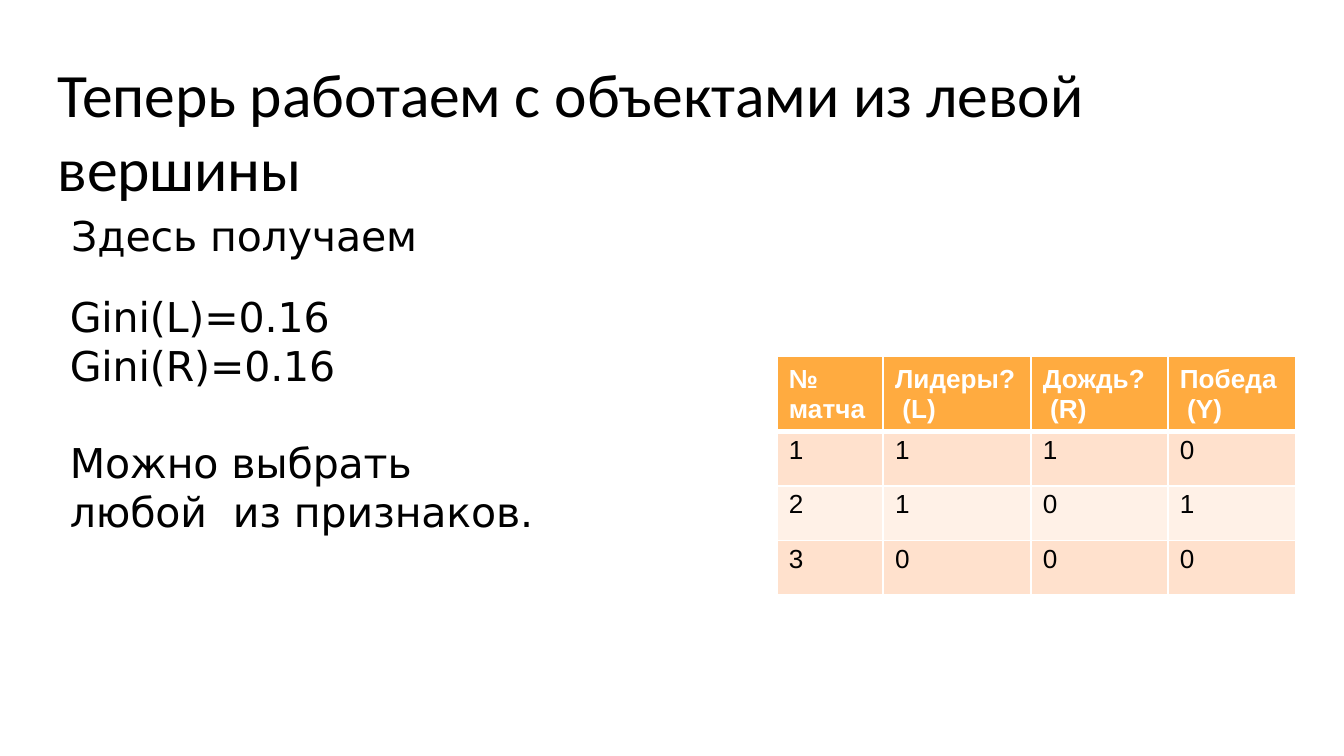
from dataclasses import dataclass
from typing import Optional

from lxml import etree
from pptx import Presentation
from pptx.dml.color import RGBColor
from pptx.enum.text import MSO_ANCHOR
from pptx.oxml.ns import qn
from pptx.util import Inches, Pt

TOP, MIDDLE = MSO_ANCHOR.TOP, MSO_ANCHOR.MIDDLE


@dataclass(frozen=True)
class Theme:
    ink: str = "000000"
    white: str = "FFFFFF"
    header: str = "FFAB40"
    bands: tuple[str, str] = ("FFE1CD", "FFF1E7")
    title_font: str = "Calibri"
    body_font: str = "DejaVu Sans"
    table_font: str = "Arial"
    title_size: float = 33
    body_size: float = 22
    table_size: float = 14
    tracking: float = -0.05
    thin: float = 1
    thick: float = 3


@dataclass(frozen=True)
class Style:
    font: str
    size: float
    color: str
    bold: bool = False
    tracking: float = 0


@dataclass(frozen=True)
class Para:
    lines: tuple[str, ...]
    style: Style
    before: float = 0
    leading: Optional[float] = None
    indent: float = 0


@dataclass(frozen=True)
class Box:
    left: float
    top: float
    width: float
    height: float
    inset_top: float
    anchor: MSO_ANCHOR
    paras: tuple[Para, ...]


THEME = Theme()
TITLE = Style(THEME.title_font, THEME.title_size, THEME.ink, tracking=THEME.tracking)
BODY = Style(THEME.body_font, THEME.body_size, THEME.ink, tracking=THEME.tracking)
HEAD = Style(THEME.table_font, THEME.table_size, THEME.white, bold=True)
CELL = Style(THEME.table_font, THEME.table_size, THEME.ink)

BOXES = (
    Box(0.42, 0.53, 7.94, 1.28, 0.01, MIDDLE, (
        Para(("Теперь работаем с объектами из левой вершины",), TITLE, before=1, indent=0.01),
        Para(("Здесь получаем",), BODY, before=3.5, indent=0.11),
    )),
    Box(0.51, 2.14, 3.63, 1.85, 0.03, TOP, (
        Para(("Gini(L)=0.16 Gini(R)=0.16",), BODY, before=1.9, leading=26.3, indent=0.01),
        Para(("Можно выбрать любой  из признаков.",), BODY, before=25.6, leading=26.2,
             indent=0.01),
    )),
)

HEADERS = (("№", "матча"), ("Лидеры?", " (L)"), ("Дождь?", " (R)"), ("Победа", " (Y)"))
MATCHES = ((1, 1, 1, 0), (2, 1, 0, 1), (3, 0, 0, 0))
COL_WIDTHS = (0.79, 1.1, 1.02, 0.95)
TABLE_LEFT, TABLE_TOP, TABLE_HEIGHT = 5.78, 2.65, 1.78
HEADER_HEIGHT = 0.56
ROW_HEIGHT = (TABLE_HEIGHT - HEADER_HEIGHT) / len(MATCHES)
CELL_INDENT = 0.09


def write_para(p, para: Para) -> None:
    p.space_before = Pt(para.before)
    if para.leading:
        p.line_spacing = Pt(para.leading)
    pPr = p._p.get_or_add_pPr()
    pPr.set("marL", str(Inches(para.indent)))
    pPr.set("indent", "0")
    style = para.style
    for i, line in enumerate(para.lines):
        if i:
            p.add_line_break()
        r = p.add_run()
        r.text = line
        r.font.name = style.font
        r.font.size = Pt(style.size)
        r.font.bold = style.bold
        r.font.color.rgb = RGBColor.from_string(style.color)
        r._r.get_or_add_rPr().set("spc", str(round(style.tracking * 100)))


def add_box(s, box: Box) -> None:
    sp = s.shapes.add_textbox(Inches(box.left), Inches(box.top),
                              Inches(box.width), Inches(box.height))
    tf = sp.text_frame
    tf.word_wrap = True
    tf.vertical_anchor = box.anchor
    tf.margin_left = tf.margin_right = tf.margin_bottom = 0
    tf.margin_top = Inches(box.inset_top)
    for i, para in enumerate(box.paras):
        write_para(tf.add_paragraph() if i else tf.paragraphs[0], para)


def add_border(cell, side: str, width: float) -> None:
    ln = etree.SubElement(cell._tc.get_or_add_tcPr(), qn(f"a:{side}"), w=str(Pt(width)))
    fill = etree.SubElement(ln, qn("a:solidFill"))
    etree.SubElement(fill, qn("a:srgbClr"), val=THEME.white)


def fill_cell(cell, row: int, para: Para, color: str, inset_top: float) -> None:
    cell.margin_left = cell.margin_right = cell.margin_bottom = 0
    cell.margin_top = Inches(inset_top)
    cell.vertical_anchor = TOP
    for side in ("lnL", "lnR", "lnT", "lnB"):
        under_header = (row, side) in ((0, "lnB"), (1, "lnT"))
        add_border(cell, side, THEME.thick if under_header else THEME.thin)
    cell.fill.solid()
    cell.fill.fore_color.rgb = RGBColor.from_string(color)
    write_para(cell.text_frame.paragraphs[0], para)


def add_match_table(s) -> None:
    heights = (HEADER_HEIGHT,) + (ROW_HEIGHT,) * len(MATCHES)
    table = s.shapes.add_table(len(heights), len(COL_WIDTHS),
                               Inches(TABLE_LEFT), Inches(TABLE_TOP),
                               Inches(sum(COL_WIDTHS)), Inches(TABLE_HEIGHT)).table
    for column, width in zip(table.columns, COL_WIDTHS):
        column.width = Inches(width)
    for row, height in zip(table.rows, heights):
        row.height = Inches(height)
    for col, lines in enumerate(HEADERS):
        para = Para(lines, HEAD, before=3.2, leading=16.5, indent=CELL_INDENT)
        fill_cell(table.cell(0, col), 0, para, THEME.header, 0.05)
    for row, match in enumerate(MATCHES, start=1):
        for col, value in enumerate(match):
            para = Para((str(value),), CELL, before=2.4, indent=CELL_INDENT)
            fill_cell(table.cell(row, col), row, para, THEME.bands[(row - 1) % 2], 0.03)


def main() -> None:
    prs = Presentation()
    prs.slide_width = Inches(10)
    prs.slide_height = prs.slide_width * 9 // 16
    s = prs.slides.add_slide(prs.slide_layouts[6])
    for box in BOXES:
        add_box(s, box)
    add_match_table(s)
    prs.save("out.pptx")


if __name__ == "__main__":
    main()
